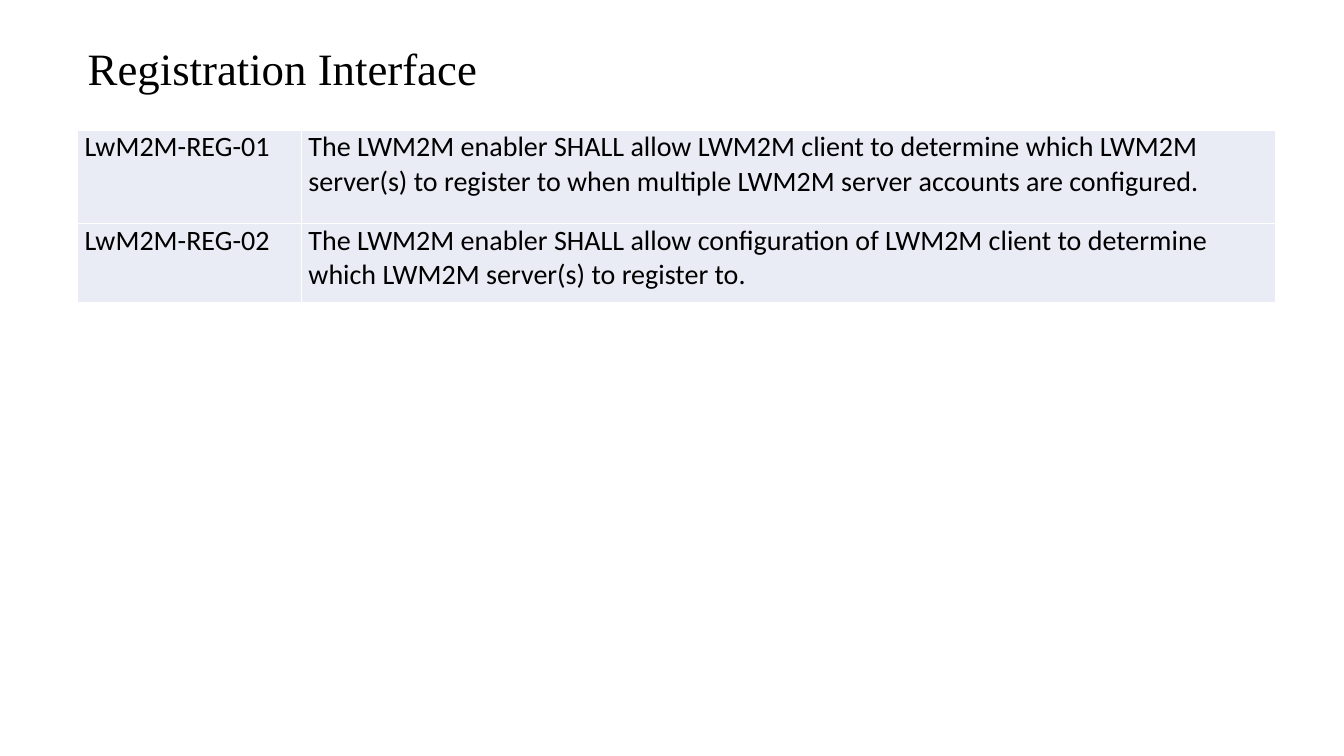
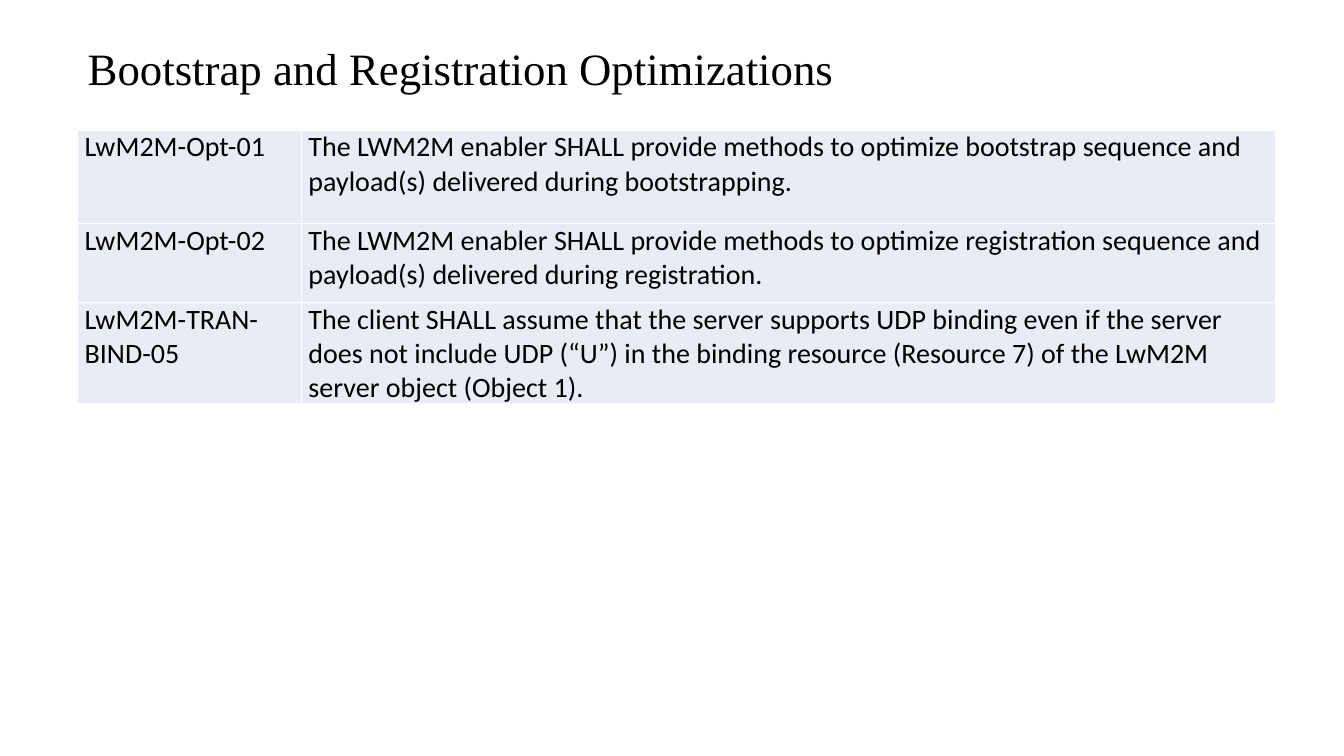
"""Build two requirement slides, each with a title and a table."""
from pptx import Presentation
from pptx.dml.color import RGBColor
from pptx.enum.text import MSO_ANCHOR, MSO_AUTO_SIZE, PP_ALIGN
from pptx.oxml import parse_xml
from pptx.oxml.ns import nsdecls
from pptx.util import Inches, Pt

SLIDES = [
    ("Registration Interface", [
        ("LwM2M-REG-01",
         "The LWM2M enabler SHALL allow LWM2M client to determine which LWM2M "
         "server(s) to register to when multiple LWM2M server accounts are configured."),
        ("LwM2M-REG-02",
         "The LWM2M enabler SHALL allow configuration of LWM2M client to determine "
         "which LWM2M server(s) to register to."),
    ]),
    ("Bootstrap and Registration Optimizations", [
        ("LwM2M-Opt-01",
         "The LWM2M enabler SHALL provide methods to optimize bootstrap sequence and "
         "payload(s) delivered during bootstrapping."),
        ("LwM2M-Opt-02",
         "The LWM2M enabler SHALL provide methods to optimize registration sequence and "
         "payload(s) delivered during registration."),
        ("LwM2M-TRAN-BIND-05",
         "The client SHALL assume that the server supports UDP binding even if the server "
         "does not include UDP (“U”) in the binding resource (Resource 7) of the LwM2M "
         "server object (Object 1)."),
    ]),
]
TEXT, CELL, BORDER = "000000", "E9EBF5", "FFFFFF"
LEFT, TABLE_TOP = 0.77, 1.29
COLS = (2.22, 9.66)
FIRST_ROW, NEXT_ROW = 0.93, 0.78


def rgb(value):
    return RGBColor.from_string(value)


def style_text(p, font, size):
    p.alignment = PP_ALIGN.LEFT
    for r in p.runs:
        r.font.name, r.font.size = font, Pt(size)
        r.font.color.rgb = rgb(TEXT)


def add_title(s, text):
    title = s.shapes.title
    title.left, title.top = Inches(LEFT), Inches(0.35)
    title.width, title.height = Inches(11.26), Inches(0.64)
    tf = title.text_frame
    tf.text = text
    tf.word_wrap = True
    tf.auto_size = MSO_AUTO_SIZE.SHAPE_TO_FIT_TEXT
    tf.vertical_anchor = MSO_ANCHOR.TOP
    style_text(tf.paragraphs[0], "Times New Roman", 32)


def add_borders(cell):
    tc_pr = cell._tc.get_or_add_tcPr()
    for i, side in enumerate("LRTB"):
        tc_pr.insert(i, parse_xml(
            f'<a:ln{side} {nsdecls("a")} w="{Pt(1)}"><a:solidFill>'
            f'<a:srgbClr val="{BORDER}"/></a:solidFill></a:ln{side}>'))


def fill_cell(cell, text):
    cell.text = text
    cell.margin_left = cell.margin_right = Inches(0.07)
    cell.margin_top = cell.margin_bottom = 0
    cell.fill.solid()
    cell.fill.fore_color.rgb = rgb(CELL)
    p = cell.text_frame.paragraphs[0]
    p.space_before = p.space_after = Pt(1)
    style_text(p, "Calibri", 20)
    add_borders(cell)


def add_requirements(s, rows):
    heights = [FIRST_ROW] + [NEXT_ROW] * (len(rows) - 1)
    table = s.shapes.add_table(
        len(rows), len(COLS), Inches(LEFT), Inches(TABLE_TOP),
        Inches(sum(COLS)), Inches(sum(heights))).table
    table.first_row = table.horz_banding = False
    for column, width in zip(table.columns, COLS):
        column.width = Inches(width)
    for row, height, texts in zip(table.rows, heights, rows):
        row.height = Inches(height)
        for cell, text in zip(row.cells, texts):
            fill_cell(cell, text)


prs = Presentation()
prs.slide_width, prs.slide_height = Inches(13.33), Inches(7.5)
for heading, requirements in SLIDES:
    s = prs.slides.add_slide(prs.slide_layouts[5])
    add_title(s, heading)
    add_requirements(s, requirements)
prs.save("out.pptx")
